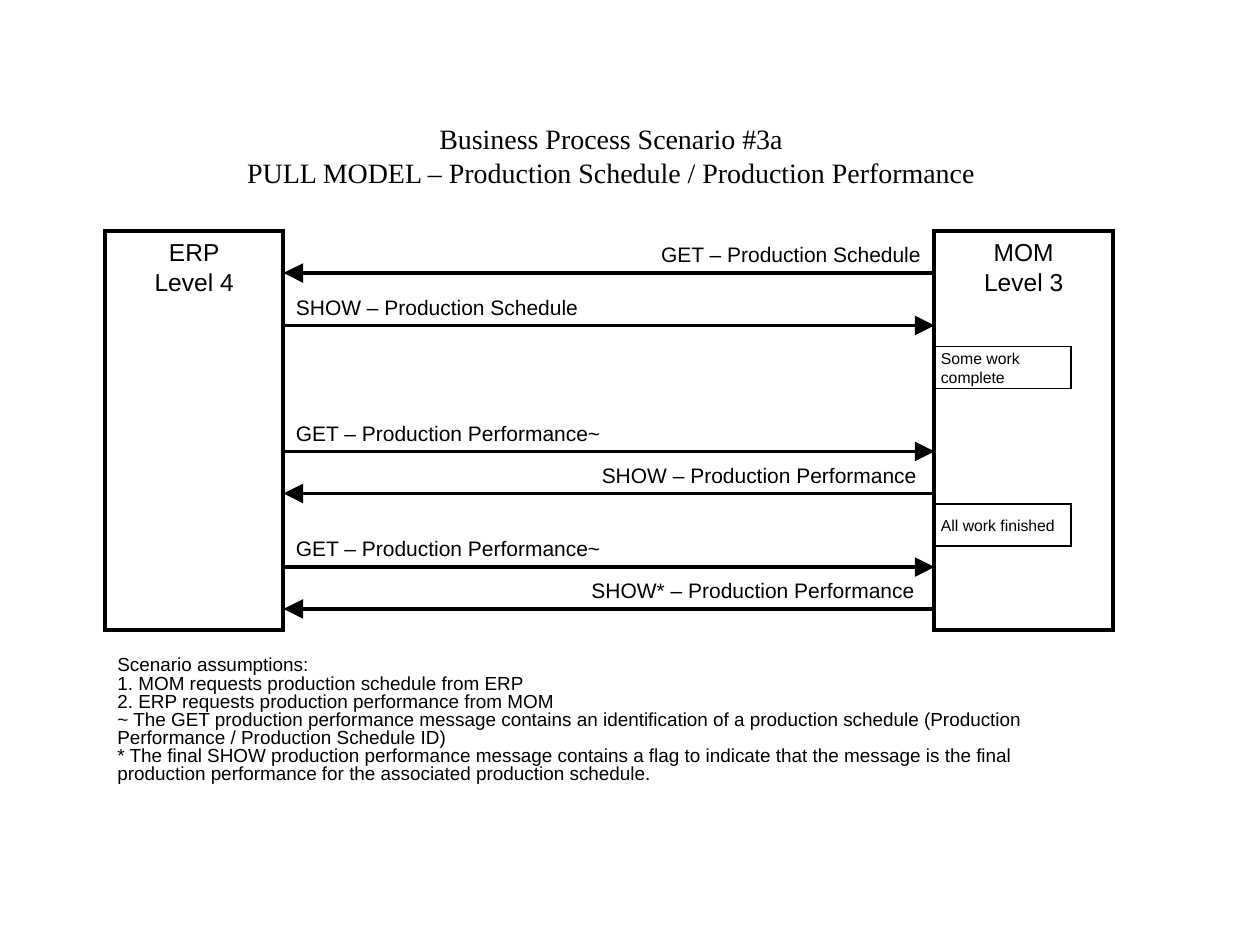
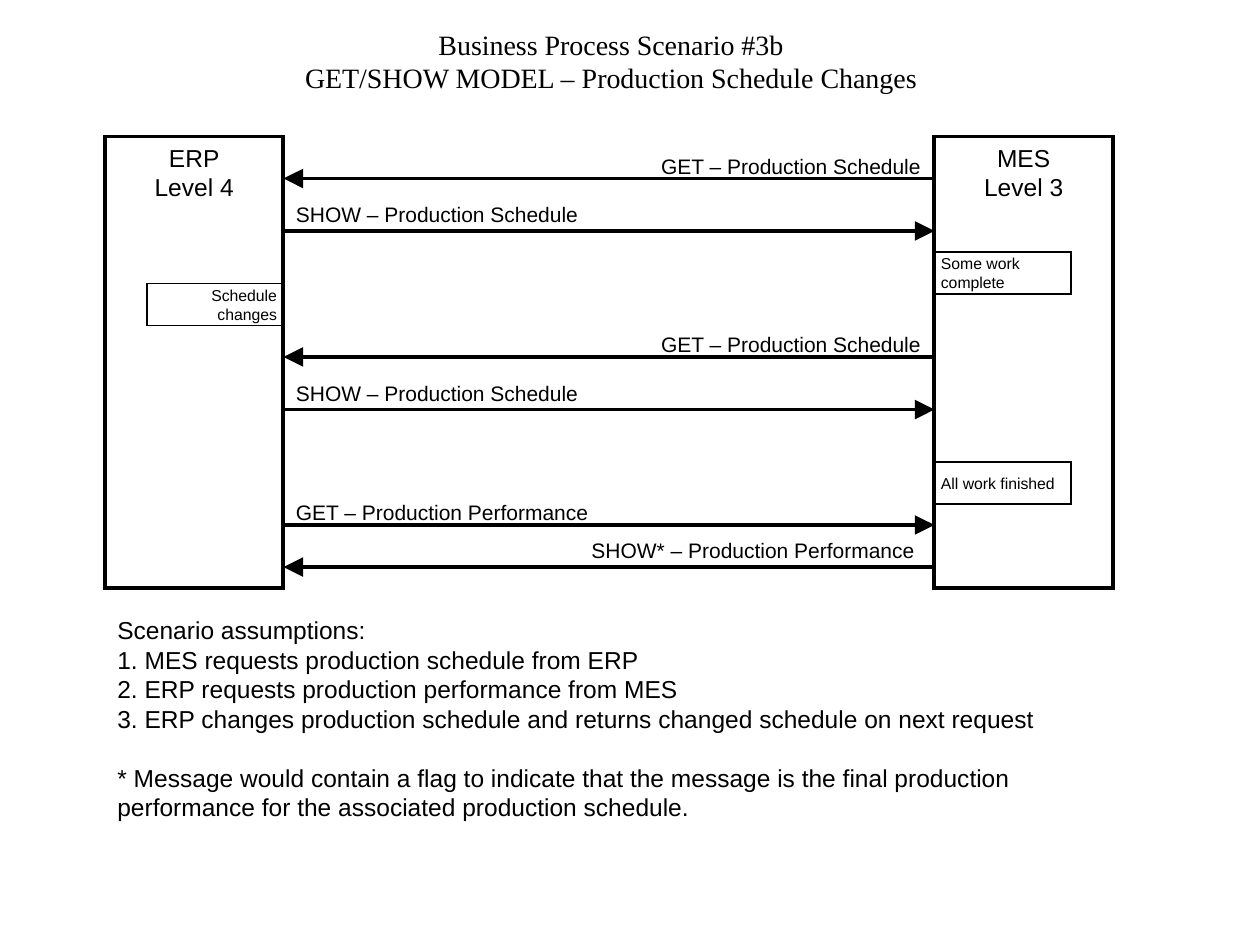
from lxml import etree
from pptx import Presentation
from pptx import util as u
from pptx.dml.color import RGBColor
from pptx.enum import shapes, text
from pptx.oxml.ns import qn

INK, PAPER = "000000", "FFFFFF"
SANS, SERIF = "Arial", "Times New Roman"
LEFT, MID, RIGHT = text.PP_ALIGN.LEFT, text.PP_ALIGN.CENTER, text.PP_ALIGN.RIGHT
TOP, CENTER = text.MSO_ANCHOR.TOP, text.MSO_ANCHOR.MIDDLE

# Grid units: twelve to 2.54 cm
POST_X, POST_W, LANE_W = 10, 17, 62
LANE_X = POST_X + POST_W
LANE_END = LANE_X + LANE_W
FLAG_W, FLAG_H, LABEL_H = 13, 4, 3.6

# Label: width and gap to the lane's right end
SIZES = {
    "GET – Production Schedule": (27.7, 0.1),
    "SHOW – Production Schedule": (29.9, 0),
    "GET – Production Performance": (30.8, 0),
    "GET – Production Performance~": (32, 0),
    "SHOW – Production Performance": (33, 0.5),
    "SHOW* – Production Performance": (33.7, 0.7),
}

# Messages: row, text, receiver is on the right, label lift
# Flags: row, lines, belongs to the right post
PULL = {
    "title": ["Business Process Scenario #3a",
              "PULL MODEL – Production Schedule / Production Performance"],
    "head": (11, 71.9), "top": 22, "height": 38, "system": "MOM",
    "messages": [
        (4, "GET – Production Schedule", False, 3.6),
        (9, "SHOW – Production Schedule", True, 3.6),
        (21, "GET – Production Performance~", True, 3.6),
        (25, "SHOW – Production Performance", False, 3.6),
        (32, "GET – Production Performance~", True, 3.6),
        (36, "SHOW* – Production Performance", False, 3.6),
    ],
    "flags": [(11, ["Some work", "complete"], True),
              (26, ["All work finished"], True)],
    "notes": [
        "Scenario assumptions:",
        "1. MOM requests production schedule from ERP",
        "2. ERP requests production performance from MOM",
        "~ The GET production performance message contains an identification of a "
        "production schedule (Production Performance / Production Schedule ID)",
        "* The final SHOW production performance message contains a flag to indicate that "
        "the message is the final production performance for the associated production "
        "schedule.",
    ],
    "print": (62, 18, 10.8, 0.8, 0),
}
CHANGE = {
    "title": ["Business Process Scenario #3b",
              "GET/SHOW MODEL – Production Schedule Changes"],
    "head": (2, 60.8), "top": 13, "height": 43, "system": "MES",
    "messages": [
        (4, "GET – Production Schedule", False, 3),
        (9, "SHOW – Production Schedule", True, 3.4),
        (21, "GET – Production Schedule", False, 3),
        (26, "SHOW – Production Schedule", True, 3.4),
        (37, "GET – Production Performance", True, 3),
        (41, "SHOW* – Production Performance", False, 3.4),
    ],
    "flags": [(11, ["Some work", "complete"], True),
              (14, ["Schedule", "changes"], False),
              (31, ["All work finished"], True)],
    "notes": [
        "Scenario assumptions:",
        "1. MES requests production schedule from ERP",
        "2. ERP requests production performance from MES",
        "3. ERP changes production schedule and returns changed schedule on next request",
        "* Message would contain a flag to indicate that the message is the final "
        "production performance for the associated production schedule.",
    ],
    "print": (58, 20.9, 14, 1, 17),
}


def color(code):
    return RGBColor.from_string(code)


def grid(*units):
    """Turn grid units into lengths."""
    return [u.Cm(2.54 * n / 12) for n in units]


def put(item, values):
    for name, value in values.items():
        setattr(item, name, value)


def write(shape, lines, size, align=LEFT, face=SANS, inset=0.25, anchor=TOP, pitch=1.0):
    frame = shape.text_frame
    frame.text = "\n".join(lines)
    put(frame, {"word_wrap": True, "auto_size": text.MSO_AUTO_SIZE.NONE,
                "vertical_anchor": anchor,
                "margin_left": u.Cm(inset), "margin_right": u.Cm(inset),
                "margin_top": u.Cm(0.13), "margin_bottom": u.Cm(0.13)})
    for para in frame.paragraphs:
        put(para, {"alignment": align, "line_spacing": pitch})
        put(para.font, {"size": u.Pt(size), "name": face})
        para.font.color.rgb = color(INK)
    return frame


def ink(line, weight, tag, **marks):
    """Colour a line and add its corner or arrowhead element."""
    line.color.rgb = color(INK)
    line.width = u.Pt(weight)
    etree.SubElement(line._get_or_add_ln(), qn(tag), **marks)


def draw_box(slide, box, weight, fill=None):
    shape = slide.shapes.add_shape(shapes.MSO_SHAPE.RECTANGLE, *grid(*box))
    shape.shadow.inherit = False
    if fill:
        shape.fill.solid()
        shape.fill.fore_color.rgb = color(fill)
    else:
        shape.fill.background()
    ink(shape.line, weight, "a:miter", lim="800000")
    return shape


def draw_title(slide, lines, box):
    title = slide.shapes.title
    put(title, dict(zip(("left", "top", "width", "height"), grid(*box))))
    write(title, lines, 16, MID, SERIF)


def draw_arrow(slide, start, end, y):
    line = slide.shapes.add_connector(shapes.MSO_CONNECTOR.STRAIGHT, *grid(start, y, end, y))
    ink(line.line, 2.25, "a:tailEnd", type="triangle", w="lg", len="lg")
    etree.SubElement(line._element.spPr, qn("a:effectLst"))


def draw_message(slide, top, row, label, onward, lift):
    """Arrow along the lane, with its label at the sender's end."""
    y = top + row
    ends = (LANE_X, LANE_END) if onward else (LANE_END, LANE_X)
    draw_arrow(slide, *ends, y)
    width, gap = SIZES[label]
    x = LANE_X if onward else LANE_END - gap - width
    field = slide.shapes.add_textbox(*grid(x, y - lift, width, LABEL_H))
    write(field, [label], 12, LEFT if onward else RIGHT)


def draw_flag(slide, top, row, lines, right):
    x = LANE_END if right else LANE_X - FLAG_W
    flag = draw_box(slide, (x, top + row, FLAG_W, FLAG_H), 0.75)
    write(flag, lines, 9, LEFT if right else RIGHT, inset=0.13, anchor=CENTER)


def draw_lanes(slide, top, height, system, messages, flags):
    posts = (POST_X, ["ERP", "Level 4"]), (LANE_END, [system, "Level 3"])
    for x, lines in posts:
        write(draw_box(slide, (x, top, POST_W, height), 2.25, PAPER), lines, 14, MID)
    for message in messages:
        draw_message(slide, top, *message)
    for flag in flags:
        draw_flag(slide, top, *flag)


def draw_notes(slide, lines, top, height, size, pitch, gap):
    """Assumptions, with a gap before the closing remark."""
    field = slide.shapes.add_textbox(*grid(POST_X, top, 96, height))
    frame = write(field, lines, size, pitch=pitch)
    frame.paragraphs[-1].space_before = u.Pt(gap)


def add_scene(deck, scene):
    slide = deck.slides.add_slide(deck.slide_layouts[5])
    top, width = scene["head"]
    draw_title(slide, scene["title"], (58.2 - width / 2, top, width, 7.7))
    draw_lanes(slide, *(scene[key] for key in
                        ("top", "height", "system", "messages", "flags")))
    draw_notes(slide, scene["notes"], *scene["print"])


def main():
    deck = Presentation()
    put(deck, {"slide_width": u.Cm(25.4), "slide_height": u.Cm(19.05)})
    for scene in (PULL, CHANGE):
        add_scene(deck, scene)
    deck.save("out.pptx")


if __name__ == "__main__":
    main()
